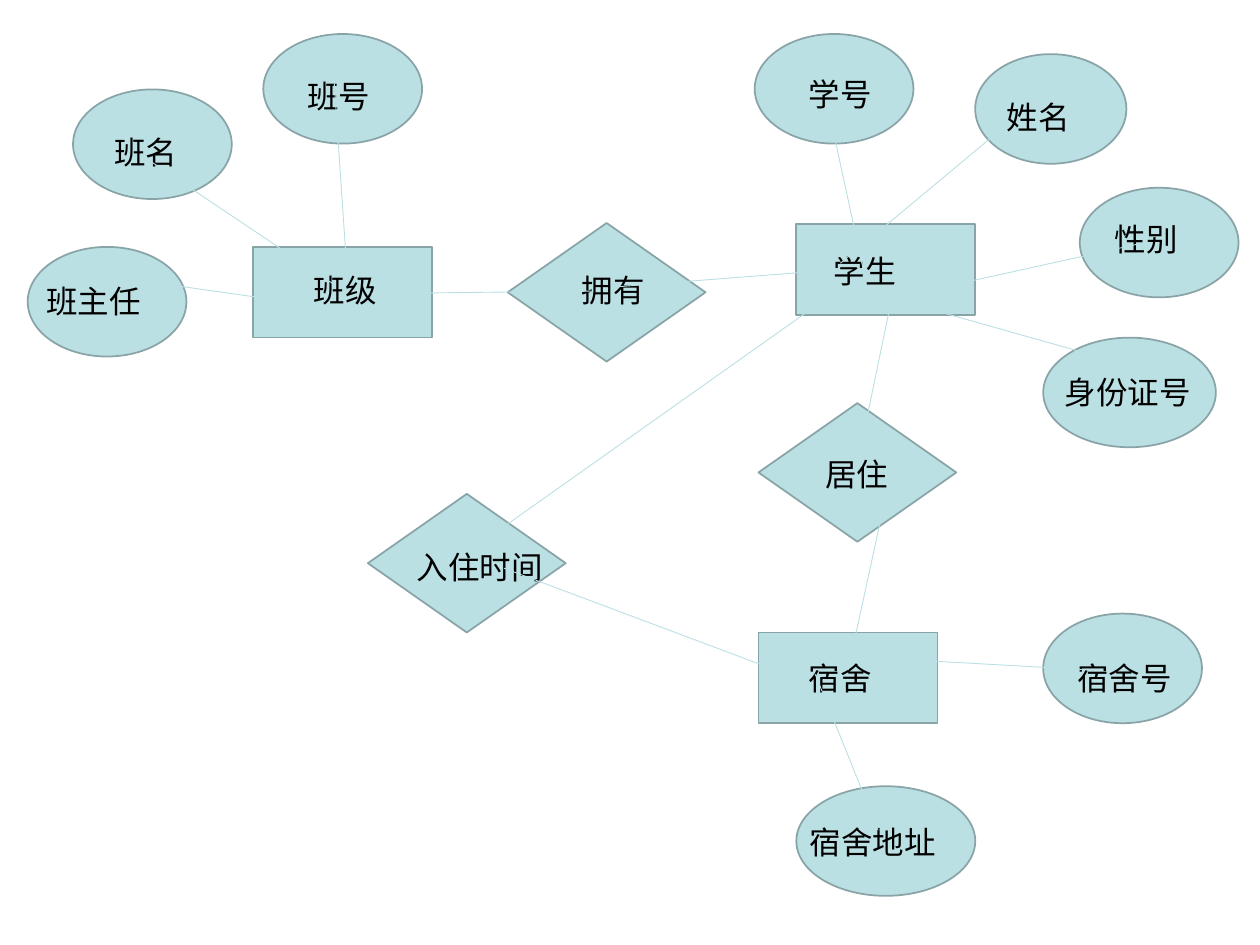
from dataclasses import dataclass

from lxml import etree
from pptx import Presentation
from pptx.dml.color import RGBColor
from pptx.enum import shapes, text
from pptx.oxml import ns
from pptx.util import Inches, Pt


@dataclass(frozen=True)
class Theme:
    fill: RGBColor = RGBColor(0xBB, 0xE0, 0xE3)
    outline: RGBColor = RGBColor(0x89, 0xA4, 0xA7)
    ink: RGBColor = RGBColor(0, 0, 0)
    font: str = "Arial"
    label_size: Pt = Pt(18)
    outline_width: Pt = Pt(1)
    link_width: Pt = Pt(0.5)


THEME = Theme()
LABEL_HEIGHT = 0.4

ENTITY = shapes.MSO_SHAPE.RECTANGLE
ATTRIBUTE = shapes.MSO_SHAPE.OVAL
RELATION = shapes.MSO_SHAPE.FLOWCHART_DECISION
SIZES = {ENTITY: (1.42, 0.72), ATTRIBUTE: (1.26, 0.87), RELATION: (1.57, 1.1)}

# Kind, node left and top, label, label left, top and width, own node width
NODES = [
    # Class
    (ENTITY, 2.01, 1.96, "班级", 2.39, 2.1, 0.72),
    (ATTRIBUTE, 0.58, 0.71, "班名", 0.81, 1.01, 0.88),
    (ATTRIBUTE, 2.09, 0.27, "班号", 2.34, 0.56, 0.93),
    (ATTRIBUTE, 0.22, 1.96, "班主任", 0.27, 2.19, 1.16),
    # Student
    (ENTITY, 6.32, 1.78, "学生", 6.52, 1.95, 0.92),
    (ATTRIBUTE, 5.99, 0.27, "学号", 6.32, 0.55, 0.81),
    (ATTRIBUTE, 7.74, 0.43, "姓名", 7.89, 0.73, 0.97, 1.2),
    (ATTRIBUTE, 8.57, 1.49, "性别", 8.75, 1.7, 0.9),
    (ATTRIBUTE, 8.28, 2.68, "身份证号", 8.35, 2.91, 1.29, 1.37),
    # Dormitory
    (ENTITY, 6.02, 5.02, "宿舍", 6.32, 5.18, 0.83),
    (ATTRIBUTE, 8.28, 4.87, "宿舍号", 8.45, 5.18, 1.04),
    (ATTRIBUTE, 6.32, 6.24, "宿舍地址", 6.33, 6.48, 1.41, 1.42),
    # Relations
    (RELATION, 4.03, 1.77, "拥有", 4.52, 2.1, 1.08),
    (RELATION, 2.92, 3.92, "入住时间", 3.21, 4.3, 1.24),
    (RELATION, 6.02, 3.2, "居住", 6.45, 3.56, 0.75),
]

# Start x, y and end x, y
LINKS = [
    # Class to its attributes
    (0.85, 2.19, 2.4, 2.41),
    (1.21, 1.29, 2.64, 2.25),
    (2.65, 0.62, 2.75, 2.1),
    # Student to its attributes
    (6.86, 2.18, 6.57, 0.84),
    (6.67, 2.09, 7.99, 0.99),
    (7.3, 2.32, 9.02, 1.94),
    (6.87, 2.31, 9, 2.91),
    # Dormitory to its attributes
    (6.47, 5.35, 6.97, 6.59),
    (6.92, 5.22, 8.7, 5.32),
    # Entities to relations
    (4.71, 2.31, 2.95, 2.33),
    (4.85, 2.28, 6.52, 2.15),
    (7.11, 2.21, 6.83, 3.56),
    (7.03, 3.94, 6.73, 5.32),
    (6.64, 2.31, 3.83, 4.3),
    (4, 4.51, 6.32, 5.38),
]


def add_node(slide, kind, left, top, width=None):
    default_width, height = SIZES[kind]
    node = slide.shapes.add_shape(
        kind, Inches(left), Inches(top), Inches(width or default_width), Inches(height))
    node.shadow.inherit = False
    node.fill.solid()
    node.fill.fore_color.rgb = THEME.fill
    node.line.color.rgb = THEME.outline
    node.line.width = THEME.outline_width


def add_label(slide, wording, left, top, width):
    label = slide.shapes.add_textbox(
        Inches(left), Inches(top), Inches(width), Inches(LABEL_HEIGHT))
    frame = label.text_frame
    frame.word_wrap = True
    frame.auto_size = text.MSO_AUTO_SIZE.SHAPE_TO_FIT_TEXT
    frame.text = wording
    font = frame.paragraphs[0].font
    font.name = THEME.font
    font.size = THEME.label_size
    font.color.rgb = THEME.ink


def add_link(slide, *ends):
    link = slide.shapes.add_connector(
        shapes.MSO_CONNECTOR.STRAIGHT, *(Inches(value) for value in ends))
    link.line.color.rgb = THEME.fill
    link.line.width = THEME.link_width
    etree.SubElement(link._element.spPr, ns.qn("a:effectLst"))


def main():
    deck = Presentation()
    deck.slide_width, deck.slide_height = Inches(10), Inches(7.5)
    slide = deck.slides.add_slide(deck.slide_layouts[6])

    # Nodes with their labels
    for kind, left, top, wording, label_left, label_top, label_width, *width in NODES:
        add_node(slide, kind, left, top, *width)
        add_label(slide, wording, label_left, label_top, label_width)

    # Links run on top, blending into the node fill
    for ends in LINKS:
        add_link(slide, *ends)

    deck.save("out.pptx")


if __name__ == "__main__":
    main()
